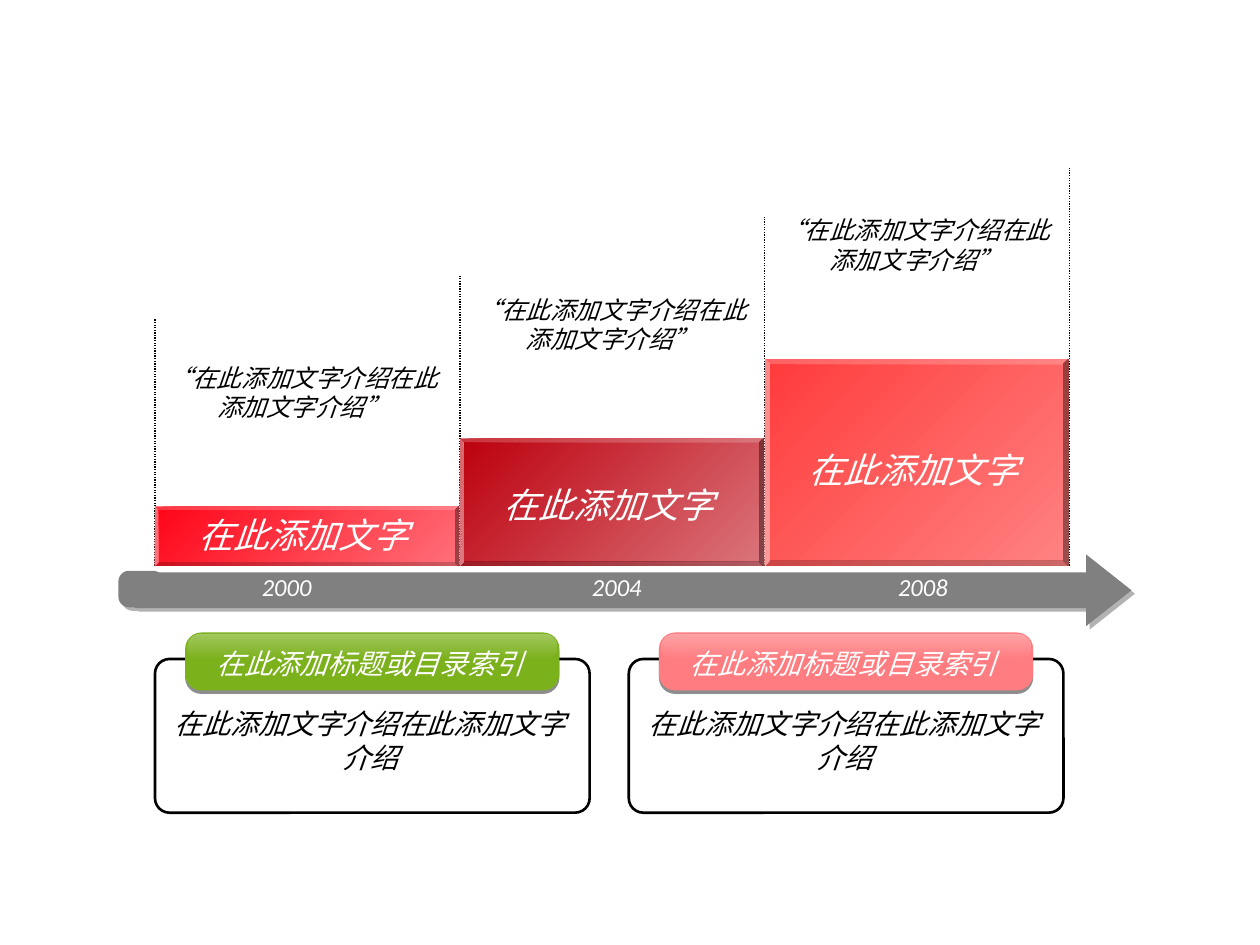
from dataclasses import dataclass

from lxml.etree import SubElement
from pptx import Presentation
from pptx.dml.color import RGBColor
from pptx.enum.dml import MSO_LINE
from pptx.enum.shapes import MSO_CONNECTOR, MSO_SHAPE
from pptx.enum.text import MSO_AUTO_SIZE, PP_ALIGN
from pptx.oxml.ns import qn
from pptx.util import Emu, Pt

SCALE = 9144  # EMU per px, 100 px to the inch


@dataclass(frozen=True)
class Theme:
    font: str = "Calibri"
    ink: str = "000000"
    light: str = "FFFFFF"
    axis: str = "808080"
    axis_shadow: str = "B2B2B2"
    badge_shadow: str = "1C1C1C"
    green: str = "7BB11B"
    pink: str = "FF7C80"
    small: int = 14
    medium: int = 16
    large: int = 20


THEME = Theme()


def px(*lengths):
    return [Emu(length * SCALE) for length in lengths]


def rgb(value):
    return RGBColor.from_string(value)


def add_block(shapes, kind, box, adjustments=(), fill=None, outline=None):
    block = shapes.add_shape(kind, *px(*box))
    block.shadow.inherit = False
    for index, value in enumerate(adjustments):
        block.adjustments[index] = value
    if fill:
        block.fill.solid()
        block.fill.fore_color.rgb = rgb(fill)
    else:
        block.fill.background()
    if outline:
        block.line.color.rgb = rgb(outline)
        block.line.width = Pt(1.5)
    else:
        block.line.fill.background()
    return block


def set_gradient(block, colors, angle, opacity=100):
    """Fill with a two-stop gradient; the angle runs clockwise."""
    block.fill.gradient()
    block.fill.gradient_angle = 360 - angle
    for stop, color in zip(block.fill.gradient_stops, colors):
        stop.color.rgb = rgb(color)
    if opacity < 100:
        for color in block._element.spPr.iter(qn("a:srgbClr")):
            SubElement(color, qn("a:alpha"), val=str(opacity * 1000))


def add_shadow(block, color, opacity, distance, angle):
    effects = block._element.spPr.find(qn("a:effectLst"))
    shadow = SubElement(effects, qn("a:outerShdw"), blurRad="0", dist=str(Pt(distance)),
                        dir=str(angle * 60000), algn="ctr", rotWithShape="0")
    tint = SubElement(shadow, qn("a:srgbClr"), val=color)
    SubElement(tint, qn("a:alpha"), val=str(opacity * 1000))


def add_text(shapes, box, words, size, color, wrap=True):
    frame = shapes.add_textbox(*px(*box)).text_frame
    frame.word_wrap = wrap
    frame.auto_size = MSO_AUTO_SIZE.SHAPE_TO_FIT_TEXT
    paragraph = frame.paragraphs[0]
    paragraph.alignment = PP_ALIGN.CENTER
    run = paragraph.add_run()
    run.text = words
    run.font.name = THEME.font
    run.font.size = Pt(size)
    run.font.italic = True
    run.font.color.rgb = rgb(color)


def add_guide(shapes, x, bottom, top):
    guide = shapes.add_connector(MSO_CONNECTOR.STRAIGHT, *px(x, bottom, x, top))
    guide.line.color.rgb = rgb(THEME.ink)
    guide.line.width = Pt(0.75)
    guide.line.dash_style = MSO_LINE.ROUND_DOT
    SubElement(guide._element.spPr, qn("a:effectLst"))


def add_card(shapes, left, top, color):
    # Outlined panel
    add_block(shapes, MSO_SHAPE.ROUNDED_RECTANGLE, (left, top, 345, 122), [0.095],
              outline=THEME.ink)
    # Badge with a glossy upper half
    badge = shapes.add_group_shape().shapes
    base = add_block(badge, MSO_SHAPE.ROUNDED_RECTANGLE, (left + 24, top - 21, 297, 46),
                     [0.279], fill=color)
    add_shadow(base, THEME.badge_shadow, 50, 2, 90)
    gloss = add_block(badge, MSO_SHAPE.ROUNDED_RECTANGLE, (left + 26, top - 20, 293, 21), [0.5])
    set_gradient(gloss, (THEME.light, color), 90, opacity=30)
    # Heading and body
    add_text(shapes, (left + 38, top - 15, 265, 37), "在此添加标题或目录索引",
             THEME.medium, THEME.light, wrap=False)
    add_text(shapes, (left + 4, top + 33, 334, 64), "在此添加文字介绍在此添加文字介绍",
             THEME.medium, THEME.ink)


def add_time_axis(shapes, left, top, years):
    # Rounded tail and arrow
    arrow = shapes.add_group_shape().shapes
    for kind, box, adjustments in (
        (MSO_SHAPE.ROUNDED_RECTANGLE, (left, top + 13, 36, 29), [0.291]),
        (MSO_SHAPE.RIGHT_ARROW, (left + 13, top, 791, 57), [0.5, 0.632]),
    ):
        part = add_block(arrow, kind, box, adjustments, fill=THEME.axis)
        add_shadow(part, THEME.axis_shadow, 100, 2.8, 45)
    # Years
    for year, offset in years:
        add_text(shapes, (left + offset, top + 9, 69, 33), year, THEME.small, THEME.light)


def add_staircase(shapes, left, bottom, pitch, steps, guide_tops):
    # Dotted guides between the steps
    for index, top in enumerate(guide_tops):
        add_guide(shapes, left + index * pitch, bottom, top)
    # Beveled steps, each with a label inside and a quote above
    for index, (height, bevel, colors, label_drop, quote_shift) in enumerate(steps):
        x, top = left + index * pitch, bottom - height
        step = add_block(shapes, MSO_SHAPE.BEVEL, (x, top, pitch - 1, height), [bevel],
                         fill=colors[0])
        set_gradient(step, colors, 45)
        add_text(shapes, (x + quote_shift, top - 119, 235, 57),
                 "“在此添加文字介绍在此添加文字介绍”", THEME.small, THEME.ink)
        add_text(shapes, (x + 24, top + label_drop, 188, 43), "在此添加文字",
                 THEME.large, THEME.light)


def main():
    presentation = Presentation()
    presentation.slide_width, presentation.slide_height = px(1000, 750)
    shapes = presentation.slides.add_slide(presentation.slide_layouts[6]).shapes

    for left, color in ((123, THEME.green), (499, THEME.pink)):
        add_card(shapes, left, 523, color)
    add_time_axis(shapes, 94, 440, (("2000", 99), ("2004", 361), ("2008", 604)))
    # Height, bevel, gradient, label drop, quote shift
    steps = (
        (47, 0.059, ("FF0517", "FF707A"), 1, 0),
        (101, 0.03, ("BC000D", "DB757C"), 31, 3),
        (164, 0.025, ("FF3B3B", "FF8282"), 66, 2),
    )
    add_staircase(shapes, 123, 449, 242, steps, (253, 219, 172, 133))
    presentation.save("out.pptx")


if __name__ == "__main__":
    main()
